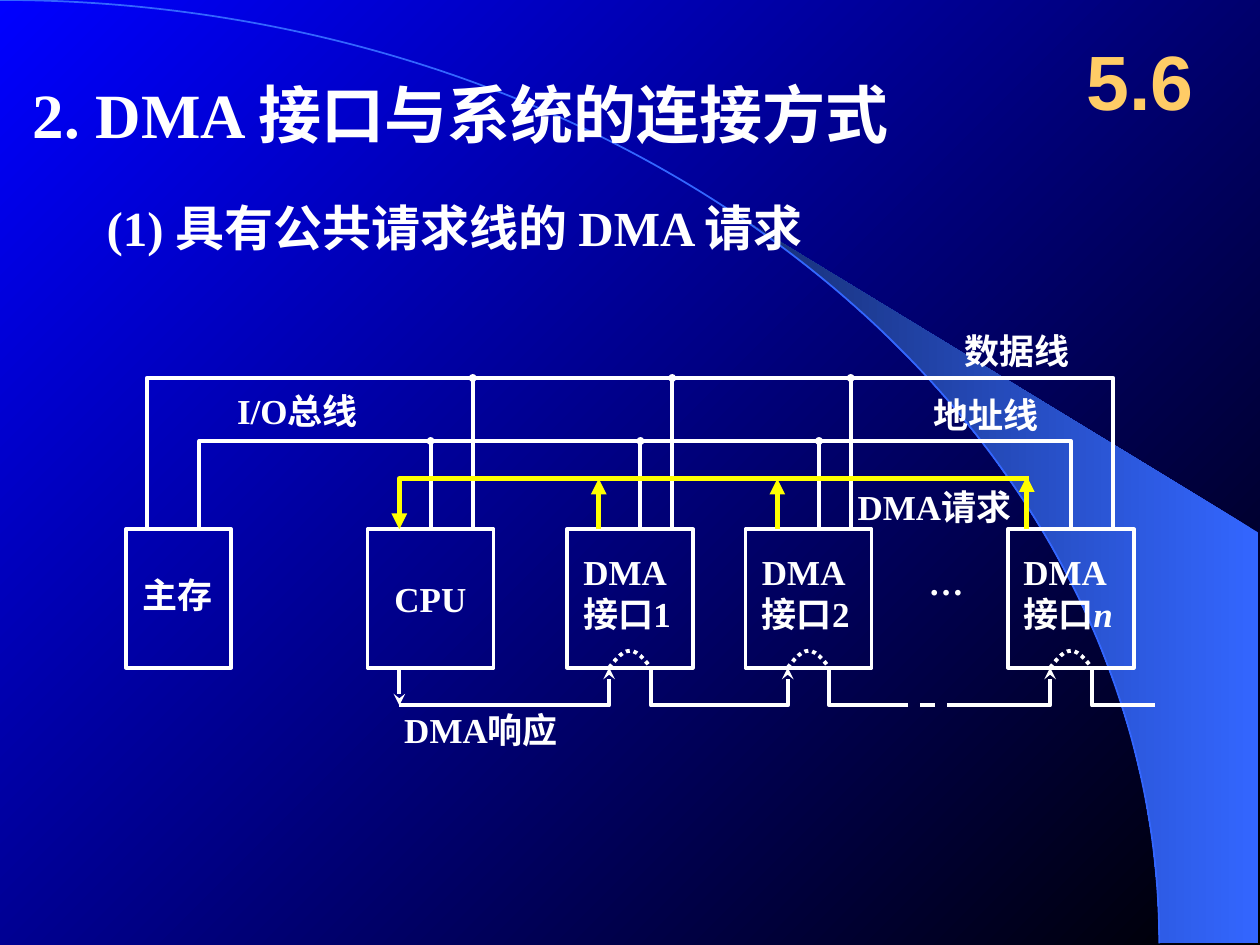
"""Build the slide on how DMA interfaces share one request line."""
import math

import pptx
import pptx.dml.color
import pptx.enum.dml
import pptx.enum.shapes
import pptx.enum.text
import pptx.oxml
import pptx.oxml.ns
import pptx.util

Cm = pptx.util.Cm
DASHES = pptx.enum.dml.MSO_LINE
SHAPES = pptx.enum.shapes.MSO_SHAPE
ALIGN = pptx.enum.text.PP_ALIGN
ANCHOR = pptx.enum.text.MSO_ANCHOR

WHITE, YELLOW, GOLD, SKY = "FFFFFF", "FFFF00", "FFCC66", "3366FF"
SLIDE_WIDTH, SLIDE_HEIGHT = 25.4, 19.05
ARC_WIDTH, ARC_HEIGHT = 23.37, 19.02

TITLE = ("2. DMA 接口与系统的连接方式", 0.41, 1.4, 18.14, 1.78)
SUBTITLE = ("(1) 具有公共请求线的 DMA 请求", 1.9, 3.86, 16.71, 1.45)
SECTION = ("5.6", 21.39, 0.43, 3.18, 2.34)
LABELS = [
    ("主存", 2.62, 11.43, 2.0, 1.12),
    ("CPU", 7.7, 11.51, 1.96, 1.12),
    ("DMA\n接口1", 11.51, 10.97, 2.5, 1.96),
    ("DMA\n接口2", 15.11, 10.97, 2.5, 1.96),
    ("DMA\n接口*n*", 20.38, 10.97, 2.55, 1.96),
    ("…", 18.47, 11.18, 1.22, 1.12),
    ("DMA响应", 7.9, 14.15, 3.86, 1.12),
    ("I/O总线", 4.53, 7.72, 3.25, 1.12),
    ("数据线", 19.2, 6.52, 2.7, 1.12),
    ("地址线", 18.56, 7.8, 2.7, 1.12),
    ("DMA请求", 17.04, 9.67, 3.86, 1.12),
]

MEMORY, CPU, FIRST, SECOND, LAST = 2.54, 7.41, 11.43, 15.03, 20.32
UNITS = [(MEMORY, 2.12), (CPU, 2.54), (FIRST, 2.54), (SECOND, 2.54), (LAST, 2.54)]
UNIT_TOP, UNIT_BOTTOM = 10.67, 13.46
DATA, ADDRESS, REQUEST, REPLY = 7.62, 8.89, 9.65, 14.22
BUSES = [(DATA, MEMORY + 0.42, LAST + 2.12), (ADDRESS, MEMORY + 1.48, LAST + 1.27)]
TAPS = [(CPU, 1.27), (FIRST, 1.48), (SECOND, 1.48)]
DATA_TAP, SIGNAL, REPLY_IN, REPLY_OUT, STUB = 2.12, 0.64, 0.85, 1.69, 1.27


def rgb(colour):
    return pptx.dml.color.RGBColor.from_string(colour)


def write(box, text, size=20, font="Times New Roman", colour=WHITE,
          align=ALIGN.LEFT, anchor=ANCHOR.TOP, wrap=False, grow=True):
    """Fill a box with bold text; parts between asterisks are italic."""
    frame = box.text_frame
    frame.word_wrap = wrap
    frame.vertical_anchor = anchor
    sizing = pptx.enum.text.MSO_AUTO_SIZE
    frame.auto_size = sizing.SHAPE_TO_FIT_TEXT if grow else sizing.NONE
    for index, line in enumerate(text.split("\n")):
        para = frame.add_paragraph() if index else frame.paragraphs[0]
        para.alignment = align
        for part, piece in enumerate(line.split("*")):
            if piece:
                span = para.add_run()
                span.text = piece
                span.font.size = pptx.util.Pt(size)
                span.font.name = font
                span.font.bold = True
                span.font.italic = part % 2 == 1
                span.font.color.rgb = rgb(colour)


def add_text(page, label, **format):
    text, *place = label
    write(page.shapes.add_textbox(*map(Cm, place)), text, **format)


def gradient(fill, start, end, angle):
    fill.gradient()
    fill.gradient_angle = angle
    for stop, colour in zip(fill.gradient_stops, (start, end)):
        stop.color.rgb = rgb(colour)


def outline(shape, colour=WHITE, width=2.25, dash=None, tail=None, tail_size="med"):
    shape.line.color.rgb = rgb(colour)
    shape.line.width = pptx.util.Pt(width)
    if dash:
        shape.line.dash_style = dash
    if tail:
        stroke = shape.element.spPr.find(pptx.oxml.ns.qn("a:ln"))
        namespace = pptx.oxml.ns.nsdecls("a")
        stroke.append(pptx.oxml.parse_xml(
            f'<a:tailEnd {namespace} type="{tail}" w="{tail_size}" len="{tail_size}"/>'))


def freeform(page, points, close=False):
    start, *rest = [(Cm(x), Cm(y)) for x, y in points]
    builder = page.shapes.build_freeform(*start)
    builder.add_line_segments(rest, close=close)
    shape = builder.convert_to_shape()
    shape.shadow.inherit = False
    return shape


def wire(page, points, **style):
    """Draw a straight connector for two points, otherwise an open outline."""
    if len(points) == 2:
        ends = [Cm(value) for point in points for value in point]
        shape = page.shapes.add_connector(pptx.enum.shapes.MSO_CONNECTOR.STRAIGHT, *ends)
        namespace = pptx.oxml.ns.nsdecls("a")
        outline(shape, **style)
        shape.element.spPr.append(pptx.oxml.parse_xml(f"<a:effectLst {namespace}/>"))
    else:
        shape = freeform(page, points)
        shape.fill.background()
        outline(shape, **style)


def draw_backdrop(page):
    gradient(page.background.fill, "000000", "0000FF", 135)
    start = math.asin(0.64)
    angles = [start + (math.pi / 2 - start) * step / 16 for step in range(17)]
    rim = [(ARC_WIDTH * math.sin(a), ARC_HEIGHT * (1 - math.cos(a))) for a in angles]
    band = freeform(page, rim + [(25.37, ARC_HEIGHT), (25.37, 10.74)], close=True)
    gradient(band.fill, SKY, "172F75", 180)
    band.line.fill.background()
    arc = page.shapes.add_shape(SHAPES.ARC, Cm(-ARC_WIDTH), 0, Cm(2 * ARC_WIDTH), Cm(2 * ARC_HEIGHT))
    arc.shadow.inherit = False
    arc.fill.background()
    outline(arc, SKY, 1)


def draw_title(page):
    """Place the title in front of the backdrop."""
    title, (text, *place) = page.shapes.title, TITLE
    title.left, title.top, title.width, title.height = map(Cm, place)
    write(title, text, size=36)
    title.element.getparent().append(title.element)


def draw_units(page):
    for left, width in UNITS:
        unit = page.shapes.add_shape(SHAPES.RECTANGLE, Cm(left), Cm(UNIT_TOP),
                                     Cm(width), Cm(UNIT_BOTTOM - UNIT_TOP))
        unit.shadow.inherit = False
        unit.fill.background()
        outline(unit)


def draw_buses(page):
    for level, left, right in BUSES:
        wire(page, [(left, UNIT_TOP), (left, level), (right, level), (right, UNIT_TOP)])
    for unit, address_tap in TAPS:
        for offset, level in ((DATA_TAP, DATA), (address_tap, ADDRESS)):
            x = unit + offset
            wire(page, [(x, UNIT_TOP), (x, level)], tail="oval", tail_size="sm")


def draw_request(page):
    style = {"colour": YELLOW, "width": 3, "tail": "triangle"}
    for x, top in ((LAST + 0.38, 9.6), (SECOND + SIGNAL, REQUEST), (FIRST + SIGNAL, REQUEST)):
        wire(page, [(x, UNIT_TOP), (x, top)], **style)
    wire(page, [(20.75, REQUEST), (CPU + SIGNAL, REQUEST), (CPU + SIGNAL, UNIT_TOP)], **style)


def draw_reply(page):
    source, gap_left = CPU + SIGNAL, SECOND + REPLY_OUT + STUB
    gap_right = gap_left + STUB
    wire(page, [(source, UNIT_BOTTOM), (source, REPLY)], tail="stealth")
    for start, unit in ((source, FIRST), (gap_right, LAST)):
        end = unit + REPLY_IN
        wire(page, [(start, REPLY), (end, REPLY), (end, UNIT_BOTTOM)], tail="stealth")
    start, end = FIRST + REPLY_OUT, SECOND + REPLY_IN
    wire(page, [(start, UNIT_BOTTOM), (start, REPLY), (end, REPLY), (end, UNIT_BOTTOM)], tail="stealth")
    for unit in (SECOND, LAST):
        start = unit + REPLY_OUT
        wire(page, [(start, UNIT_BOTTOM), (start, REPLY), (start + STUB, REPLY)])
    wire(page, [(gap_left, REPLY), (gap_right, REPLY)], dash=DASHES.DASH)
    for unit in (FIRST, SECOND, LAST):
        bump = [(unit + REPLY_IN + (REPLY_OUT - REPLY_IN) * step / 12,
                 UNIT_BOTTOM - 0.34 * math.sin(math.pi * step / 12)) for step in range(13)]
        wire(page, bump, dash=DASHES.ROUND_DOT)


def main():
    deck = pptx.Presentation()
    deck.slide_width, deck.slide_height = Cm(SLIDE_WIDTH), Cm(SLIDE_HEIGHT)
    page = deck.slides.add_slide(deck.slide_layouts.get_by_name("Title Only"))
    for draw in (draw_backdrop, draw_title, draw_units, draw_buses, draw_request, draw_reply):
        draw(page)
    for label in LABELS:
        add_text(page, label)
    add_text(page, SUBTITLE, size=28, wrap=True)
    add_text(page, SECTION, size=44, font="Arial", colour=GOLD, align=ALIGN.CENTER,
             anchor=ANCHOR.MIDDLE, wrap=True, grow=False)
    deck.save("out.pptx")


if __name__ == "__main__":
    main()
